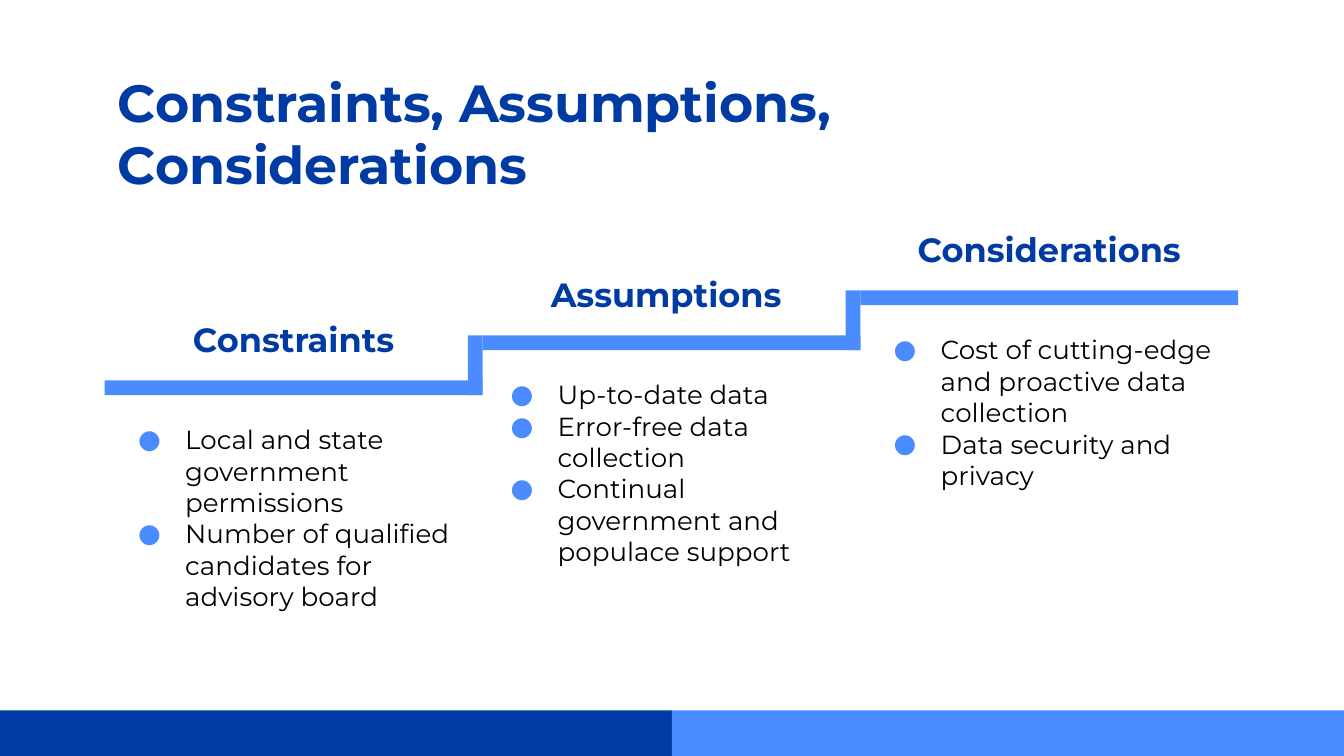
from dataclasses import dataclass

from lxml.etree import SubElement
from pptx import Presentation
from pptx.dml.color import RGBColor
from pptx.enum.shapes import MSO_SHAPE as Preset
from pptx.enum.text import MSO_ANCHOR as Anchor, PP_ALIGN as Align
from pptx.oxml.ns import qn
from pptx.slide import Slide
from pptx.util import Cm, Pt

NAVY = RGBColor(0x00, 0x3B, 0xA3)
BLUE = RGBColor(0x4A, 0x8C, 0xFF)
BLACK = RGBColor(0x00, 0x00, 0x00)
FONT = "Montserrat"

SLIDE_WIDTH, SLIDE_HEIGHT = 25.4, 14.29
MARGIN = 1.98
STEP_WIDTH = 7.14
STEP_RISE = 0.85
FIRST_STEP_TOP = 7.19
BAR_THICKNESS = 0.28
RISER_LENGTH = 1.13
FOOTER_TOP = 13.43


@dataclass(frozen=True)
class Box:
    left: float
    top: float
    width: float
    height: float


@dataclass(frozen=True)
class Style:
    size: int
    color: RGBColor
    bold: bool = False
    align: Align = Align.LEFT
    bulleted: bool = False


@dataclass(frozen=True)
class Step:
    heading: str
    points: tuple[str, ...]
    heading_width: float
    shift: float = 0


TITLE = Style(28, NAVY, bold=True)
HEADING = Style(18, NAVY, bold=True, align=Align.CENTER)
POINTS = Style(14, BLACK, bulleted=True)

STEPS = (
    Step(
        "Constraints",
        (
            "Local and state government permissions",
            "Number of qualified candidates for advisory board",
        ),
        4.62,
    ),
    Step(
        "Assumptions",
        (
            "Up-to-date data",
            "Error-free data collection",
            "Continual government and populace support",
        ),
        5.08,
        shift=-0.1,
    ),
    Step(
        "Considerations",
        (
            "Cost of cutting-edge and proactive data collection",
            "Data security and privacy",
        ),
        5.72,
    ),
)


def add_bar(slide: Slide, box: Box, color: RGBColor, rotation: float = 0) -> None:
    bar = slide.shapes.add_shape(
        Preset.RECTANGLE, Cm(box.left), Cm(box.top), Cm(box.width), Cm(box.height)
    )
    bar.shadow.inherit = False
    bar.fill.solid()
    bar.fill.fore_color.rgb = color
    bar.line.fill.background()
    bar.rotation = rotation


def add_bullet(paragraph) -> None:
    properties = paragraph._p.get_or_add_pPr()
    properties.set("marL", str(Cm(1.27)))
    properties.set("indent", str(Cm(-0.89)))
    bullet_color = SubElement(properties, qn("a:buClr"))
    SubElement(bullet_color, qn("a:srgbClr")).set("val", str(BLUE))
    SubElement(properties, qn("a:buFont")).set("typeface", FONT)
    SubElement(properties, qn("a:buChar")).set("char", "●")


def add_text(slide: Slide, box: Box, lines: tuple[str, ...], style: Style) -> None:
    frame = slide.shapes.add_textbox(
        Cm(box.left), Cm(box.top), Cm(box.width), Cm(box.height)
    ).text_frame
    frame.word_wrap = True
    frame.vertical_anchor = Anchor.TOP
    frame.margin_left = frame.margin_right = Cm(0.25)
    frame.margin_top = frame.margin_bottom = Cm(0.25)
    for index, line in enumerate(lines):
        paragraph = frame.add_paragraph() if index else frame.paragraphs[0]
        paragraph.text = line
        paragraph.alignment = style.align
        if style.bulleted:
            add_bullet(paragraph)
        paragraph.font.name = FONT
        paragraph.font.size = Pt(style.size)
        paragraph.font.bold = style.bold
        paragraph.font.color.rgb = style.color


def add_step(slide: Slide, index: int, step: Step) -> None:
    left = MARGIN + index * STEP_WIDTH
    top = FIRST_STEP_TOP - index * STEP_RISE
    add_bar(slide, Box(left, top, STEP_WIDTH, BAR_THICKNESS), BLUE)
    if index:
        riser_left = left - (BAR_THICKNESS + RISER_LENGTH) / 2
        riser_top = top + (RISER_LENGTH - BAR_THICKNESS) / 2
        riser = Box(riser_left, riser_top, RISER_LENGTH, BAR_THICKNESS)
        add_bar(slide, riser, BLUE, rotation=90)
    text_left = left + step.shift
    heading_left = text_left + (STEP_WIDTH - step.heading_width) / 2
    heading = Box(heading_left, top - 1.42, step.heading_width, 1.14)
    add_text(slide, heading, (step.heading,), HEADING)
    add_text(slide, Box(text_left, top + 0.57, STEP_WIDTH, 3.99), step.points, POINTS)


def main() -> None:
    deck = Presentation()
    deck.slide_width, deck.slide_height = Cm(SLIDE_WIDTH), Cm(SLIDE_HEIGHT)
    slide = deck.slides.add_slide(deck.slide_layouts[6])

    title = "Constraints, Assumptions, Considerations"
    add_text(slide, Box(MARGIN, 1.07, 3 * STEP_WIDTH, 2.59), (title,), TITLE)
    for index, step in enumerate(STEPS):
        add_step(slide, index, step)

    half = SLIDE_WIDTH / 2
    for index, color in enumerate((NAVY, BLUE)):
        footer = Box(index * half, FOOTER_TOP, half, SLIDE_HEIGHT - FOOTER_TOP)
        add_bar(slide, footer, color)

    deck.save("out.pptx")


if __name__ == "__main__":
    main()
